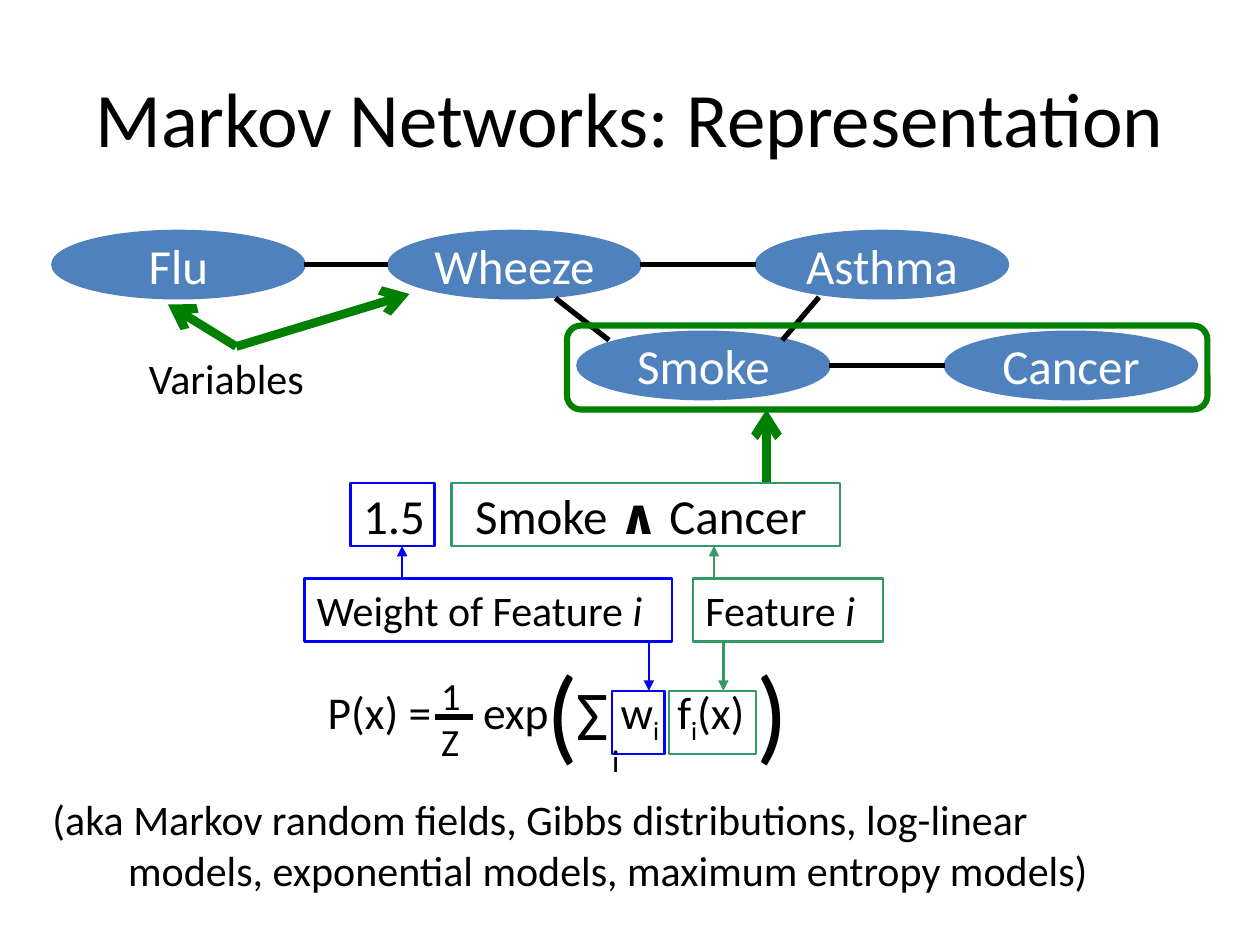
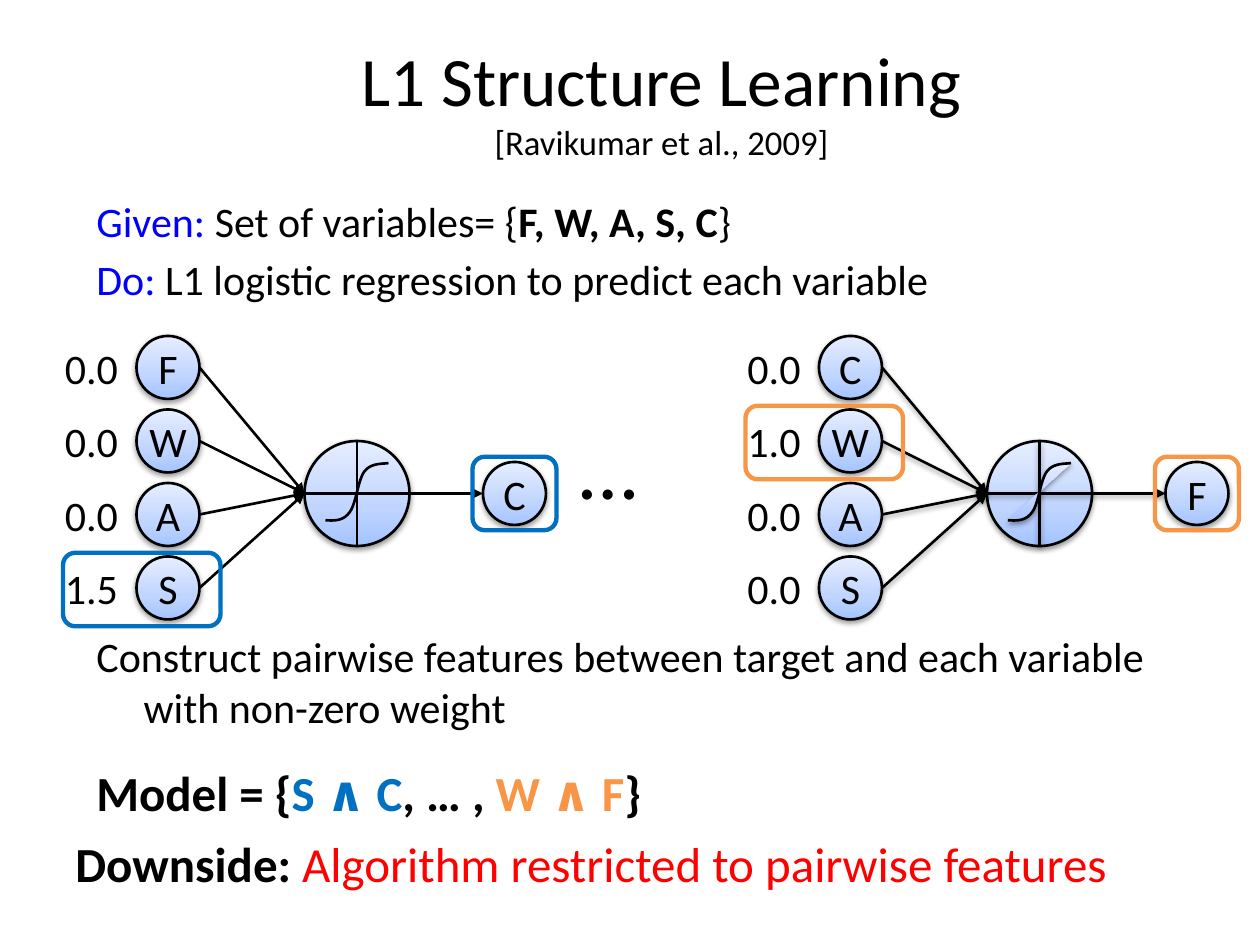
from dataclasses import dataclass

from lxml import etree
from pptx import Presentation
from pptx.dml.color import RGBColor
from pptx.enum.shapes import MSO_CONNECTOR, MSO_SHAPE
from pptx.enum.text import MSO_ANCHOR, PP_ALIGN
from pptx.oxml import parse_xml
from pptx.oxml.ns import nsdecls, qn
from pptx.util import Inches, Pt

ELLIPSE, RECT, ROUNDED = MSO_SHAPE.OVAL, MSO_SHAPE.RECTANGLE, MSO_SHAPE.ROUNDED_RECTANGLE
STRAIGHT = MSO_CONNECTOR.STRAIGHT
LEFT, CENTER = PP_ALIGN.LEFT, PP_ALIGN.CENTER
TOP, MIDDLE = MSO_ANCHOR.TOP, MSO_ANCHOR.MIDDLE

COLUMNS, ROWS = 120, 90
CELL = Inches(10) // COLUMNS


@dataclass(frozen=True)
class Theme:
    font: str = "Calibri"
    ink: str = "000000"
    light: str = "FFFFFF"
    node: str = "4F81BD"
    clique: str = "008000"
    feature: str = "339966"
    weight: str = "0000FF"
    first: str = "0070C0"
    last: str = "F79646"
    warning: str = "FF0000"
    neuron: tuple = ((0, "A4C4FF"), (35, "BFD4FF"), (100, "E6EEFF"))
    title: float = 44
    small_title: float = 39.6
    citation: float = 19.8
    large: float = 28
    body: float = 24
    formula: float = 26
    fraction: float = 22
    index: float = 18
    sigma: float = 40
    bracket: float = 60
    ellipsis: float = 48
    thin: float = 1.5


THEME = Theme()


@dataclass(frozen=True)
class Span:
    text: str
    color: str = THEME.ink
    bold: bool = False
    italic: bool = False
    lowered: bool = False
    size: float = 0


def cells(count):
    return round(count * CELL)


def rgb(color):
    return RGBColor.from_string(color)


def write(frame, paragraphs, size, align=LEFT, anchor=TOP, inset=(1.2, 0.6), wrap=True,
          hanging=0, before=0):
    frame.word_wrap = wrap
    frame.vertical_anchor = anchor
    frame.margin_left = frame.margin_right = cells(inset[0])
    frame.margin_top = frame.margin_bottom = cells(inset[1])
    for number, spans in enumerate(paragraphs):
        paragraph = frame.add_paragraph() if number else frame.paragraphs[0]
        paragraph.alignment = align
        if number:
            paragraph.space_before = Pt(before)
        if hanging:
            properties = paragraph._p.get_or_add_pPr()
            properties.set("marL", str(cells(hanging)))
            properties.set("indent", str(-cells(hanging)))
        for span in spans:
            if span.text == "\v":
                paragraph.add_line_break()
                continue
            run = paragraph.add_run()
            run.text = span.text
            font = run.font
            font.name, font.size = THEME.font, Pt(span.size or size)
            font.bold, font.italic = span.bold, span.italic
            font.color.rgb = rgb(span.color)
            if span.lowered:
                run._r.get_or_add_rPr().set("baseline", "-25000")


def add_text(slide, box, paragraphs, size, **layout):
    label = slide.shapes.add_textbox(*map(cells, box))
    write(label.text_frame, paragraphs, size, **layout)


def add_title(slide, box, spans, size):
    add_text(slide, box, [spans], size, align=CENTER, anchor=MIDDLE)


def cast_shadow(effects):
    effects.append(parse_xml(
        f'<a:outerShdw {nsdecls("a")} blurRad="{Pt(3.1)}" dist="{Pt(1.6)}" dir="5400000" '
        'rotWithShape="0"><a:srgbClr val="000000"><a:alpha val="38000"/></a:srgbClr></a:outerShdw>'))


def paint(shape, line, width, fill=None, shadow=False):
    properties = shape.element.spPr
    shape.fill.background()
    if isinstance(fill, tuple):
        stops = "".join(f'<a:gs pos="{share * 1000}"><a:srgbClr val="{color}"/></a:gs>'
                        for share, color in fill)
        gradient = parse_xml(f'<a:gradFill {nsdecls("a")} rotWithShape="1"><a:gsLst>{stops}'
                             '</a:gsLst><a:lin ang="16200000" scaled="0"/></a:gradFill>')
        properties.replace(properties.find(qn("a:noFill")), gradient)
    elif fill:
        shape.fill.solid()
        shape.fill.fore_color.rgb = rgb(fill)
    shape.line.color.rgb = rgb(line)
    shape.line.width = Pt(width)
    shape.shadow.inherit = False
    if shadow:
        cast_shadow(properties.find(qn("a:effectLst")))


def add_outline(slide, kind, box, line, width=THEME.thin, fill=None, shadow=False):
    shape = slide.shapes.add_shape(kind, *map(cells, box))
    paint(shape, line, width, fill, shadow)
    return shape


def add_box(slide, box, color, spans=(), size=THEME.body, indent=1.2):
    shape = add_outline(slide, RECT, box, color)
    if spans:
        write(shape.text_frame, [spans], size, anchor=MIDDLE, inset=(indent, 0))
        shape.text_frame.margin_right = 0


def add_line(slide, start, end, color=THEME.ink, width=THEME.thin, head=None, shadow=False):
    link = slide.shapes.add_connector(STRAIGHT, *map(cells, start + end))
    link.line.color.rgb = rgb(color)
    link.line.width = Pt(width)
    if head:
        etree.SubElement(link.line._get_or_add_ln(), qn("a:tailEnd"), type=head)
    effects = etree.SubElement(link.element.spPr, qn("a:effectLst"))
    if shadow:
        cast_shadow(effects)


def add_node(slide, box, name, size, color, line, fill, shadow=False):
    node = add_outline(slide, ELLIPSE, box, line, fill=fill, shadow=shadow)
    write(node.text_frame, [[Span(name, color)]], size, CENTER, MIDDLE, (0, 0), wrap=False)


def add_neuron(slide, column, row, name):
    add_node(slide, (column, row, 6, 6), name, THEME.body, THEME.ink, THEME.ink,
             THEME.neuron, shadow=True)


def bezier(p0, p1, p2, p3, steps=10):
    for step in range(1, steps + 1):
        t = step / steps
        yield tuple(cells((1 - t) ** 3 * a + 3 * (1 - t) ** 2 * t * b
                          + 3 * (1 - t) * t ** 2 * c + t ** 3 * d)
                    for a, b, c, d in zip(p0, p1, p2, p3))


def add_sigmoid(slide, column, row, fill, shadow):
    offsets = [(0, 5.5), (0.85, 5.55), (1.65, 5.6), (2.3, 4.75), (2.95, 3.9),
               (3.1, 1.55), (3.75, 0.8), (4.4, 0), (5.6, 0.15), (6, 0.05)]
    points = [(column + x, row + y) for x, y in offsets]
    curve = slide.shapes.build_freeform(*map(cells, points[0]))
    for first in range(0, len(points) - 1, 3):
        curve.add_line_segments(list(bezier(*points[first:first + 4])), close=False)
    paint(curve.convert_to_shape(), THEME.ink, THEME.thin, fill, shadow)


def add_regression(slide, column, inputs, target, chosen, accent, shadow):
    top, pitch, middle = 32, 7, 47
    hub, goal = column + 16, column + 33
    for place, (name, _) in enumerate(inputs):
        add_neuron(slide, column, top + pitch * place, name)
    add_outline(slide, ELLIPSE, (hub, middle - 5, 10, 10), THEME.ink,
                fill=THEME.neuron, shadow=True)
    add_line(slide, (hub, middle), (hub + 10, middle), shadow=shadow)
    add_line(slide, (hub + 5, middle - 5), (hub + 5, middle + 5), shadow=shadow)
    add_sigmoid(slide, hub + 2, 44.05, THEME.neuron if shadow else None, shadow)
    for place in range(len(inputs)):
        add_line(slide, (column + 6, top + pitch * place + 3), (hub, middle),
                 head="triangle", shadow=shadow)
    add_neuron(slide, goal, middle - 3, target)
    add_line(slide, (hub + 10, middle), (goal, middle), head="triangle", shadow=shadow)
    for place, (_, weight) in enumerate(inputs):
        add_text(slide, (column - 8, top + pitch * place, 14, 6), [[Span(weight)]], THEME.body)
    add_outline(slide, ROUNDED, (column - 7, top + pitch * chosen - 0.35, 15, 7), accent, 2.5)
    add_outline(slide, ROUNDED, (goal - 1, middle - 3.5, 8, 7), accent, 2.5)


def build_representation(slide):
    add_title(slide, (6, 3.6, 108, 15), [Span("Markov Networks: Representation")], THEME.title)

    variables = {"Flu": (5, 22), "Wheeze": (37, 22), "Asthma": (72, 22),
                 "Smoke": (55, 31.6), "Cancer": (90, 31.6)}
    for name, corner in variables.items():
        add_node(slide, corner + (24, 6.4), name, THEME.large, THEME.light,
                 THEME.node, THEME.node)
    for left, right in (("Flu", "Wheeze"), ("Wheeze", "Asthma"), ("Smoke", "Cancer")):
        level = variables[left][1] + 3.2
        add_line(slide, (variables[left][0] + 24, level), (variables[right][0], level), width=3)
    add_line(slide, (52.9, 28.4), (58, 32.4), width=3)
    add_line(slide, (78, 28.3), (74.5, 32.4), width=3)

    add_outline(slide, ROUNDED, (54, 31, 61, 8), THEME.clique, 3.5)
    for start, end in (((73, 46), (73, 39)), ((22.5, 33), (16, 29)), ((22.5, 33), (39, 28))):
        add_line(slide, start, end, THEME.clique, 5, "arrow")
    add_text(slide, (13, 33, 19, 6), [[Span("Variables")]], THEME.body)

    add_box(slide, (33.4, 46, 8, 6), THEME.weight, [Span("1.5")], THEME.large)
    add_box(slide, (43, 46, 37, 6), THEME.feature,
            [Span("Smoke "), Span("∧", bold=True), Span(" Cancer")], THEME.large, indent=2.25)
    add_box(slide, (29, 55.1, 35, 6), THEME.weight,
            [Span("Weight of Feature "), Span("i", italic=True)])
    add_box(slide, (66, 55.1, 18.1, 6), THEME.feature,
            [Span("Feature "), Span("i", italic=True)])
    add_box(slide, (58.3, 65.8, 5, 6), THEME.weight)
    add_box(slide, (63.7, 65.8, 8.3, 6), THEME.feature)
    for column, start, end, color in ((38.3, 55, 52, THEME.weight), (68, 55, 52, THEME.feature),
                                      (61.8, 61, 65.8, THEME.weight),
                                      (68.9, 61, 65.8, THEME.feature)):
        add_line(slide, (column, start), (column, end), color, head="triangle")

    index = Span("i", lowered=True)
    formula = (
        (31.2, 65.1, THEME.formula, [[Span("P(x) =")]]),
        (42, 64, THEME.fraction, [[Span("1")], [Span("Z")]]),
        (46, 65.1, THEME.formula, [[Span("exp")]]),
        (52, 61.6, THEME.bracket, [[Span("(")]]),
        (54.9, 63.9, THEME.sigma, [[Span("Σ")]]),
        (58.3, 70.6, THEME.index, [[Span("i")]]),
        (59.1, 65.1, THEME.formula, [[Span("w"), index]]),
        (64.5, 65.1, THEME.formula, [[Span("f"), index, Span("(x)")]]),
        (72, 61.6, THEME.bracket, [[Span(")")]]),
    )
    for column, row, size, paragraphs in formula:
        add_text(slide, (column, row, 14, 6), paragraphs, size, inset=(0, 0))
    add_line(slide, (41.4, 68.3), (45, 68.3), width=3)

    add_text(slide, (5, 75, 111, 11),
             [[Span("(aka Markov random fields, Gibbs distributions, log-linear"), Span("\v"),
               Span("models, exponential models, maximum entropy models)")]],
             THEME.body, inset=(0, 0.6), hanging=7.2)


def build_structure_learning(slide):
    add_title(slide, (8, 3, 110, 13),
              [Span("L1 Structure Learning"), Span("\v"),
               Span("[Ravikumar et al., 2009]", size=THEME.citation)],
              THEME.small_title)
    add_text(slide, (8, 18, 110, 12),
             [[Span("Given: ", THEME.weight), Span("Set of variables= {"),
               Span("F, W, A, S, C", bold=True), Span("}")],
              [Span("Do: ", THEME.weight),
               Span("L1 logistic regression to predict each variable")]],
             THEME.body, hanging=4.5, before=4.8)
    add_text(slide, (8, 59.5, 110, 11),
             [[Span("Construct pairwise features between target and each variable "
                    "with non-zero weight")]], THEME.body, hanging=4.5)

    add_regression(slide, 78, (("C", "0.0"), ("W", "1.0"), ("A", "0.0"), ("S", "0.0")),
                   "F", 1, THEME.last, shadow=True)
    add_regression(slide, 13, (("F", "0.0"), ("W", "0.0"), ("A", "0.0"), ("S", "1.5")),
                   "C", 3, THEME.first, shadow=False)
    add_text(slide, (54, 39, 14, 11), [[Span("…")]], THEME.ellipsis)

    model = (("Model = {", THEME.ink), ("S ∧ C", THEME.first), (", … , ", THEME.ink),
             ("W ∧ F", THEME.last), ("}", THEME.ink))
    add_text(slide, (8, 72, 91, 6.8),
             [[Span(text, color, bold=True) for text, color in model]], THEME.large)
    add_text(slide, (6, 78.8, 111, 6.8),
             [[Span("Downside: ", bold=True),
               Span("Algorithm restricted to pairwise features", THEME.warning)]], THEME.large)


def main():
    deck = Presentation()
    deck.slide_width, deck.slide_height = CELL * COLUMNS, CELL * ROWS
    blank = deck.slide_layouts[6]
    for build in (build_representation, build_structure_learning):
        build(deck.slides.add_slide(blank))
    deck.save("out.pptx")


if __name__ == "__main__":
    main()
